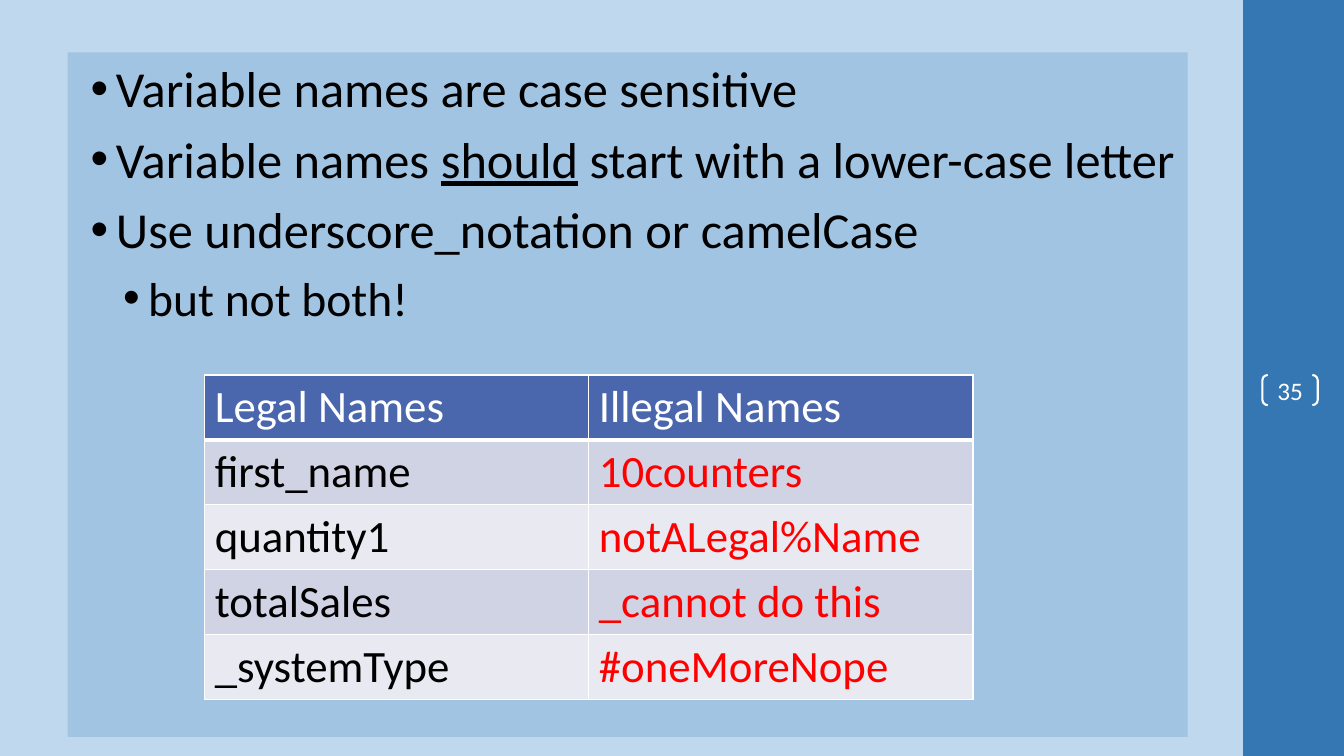
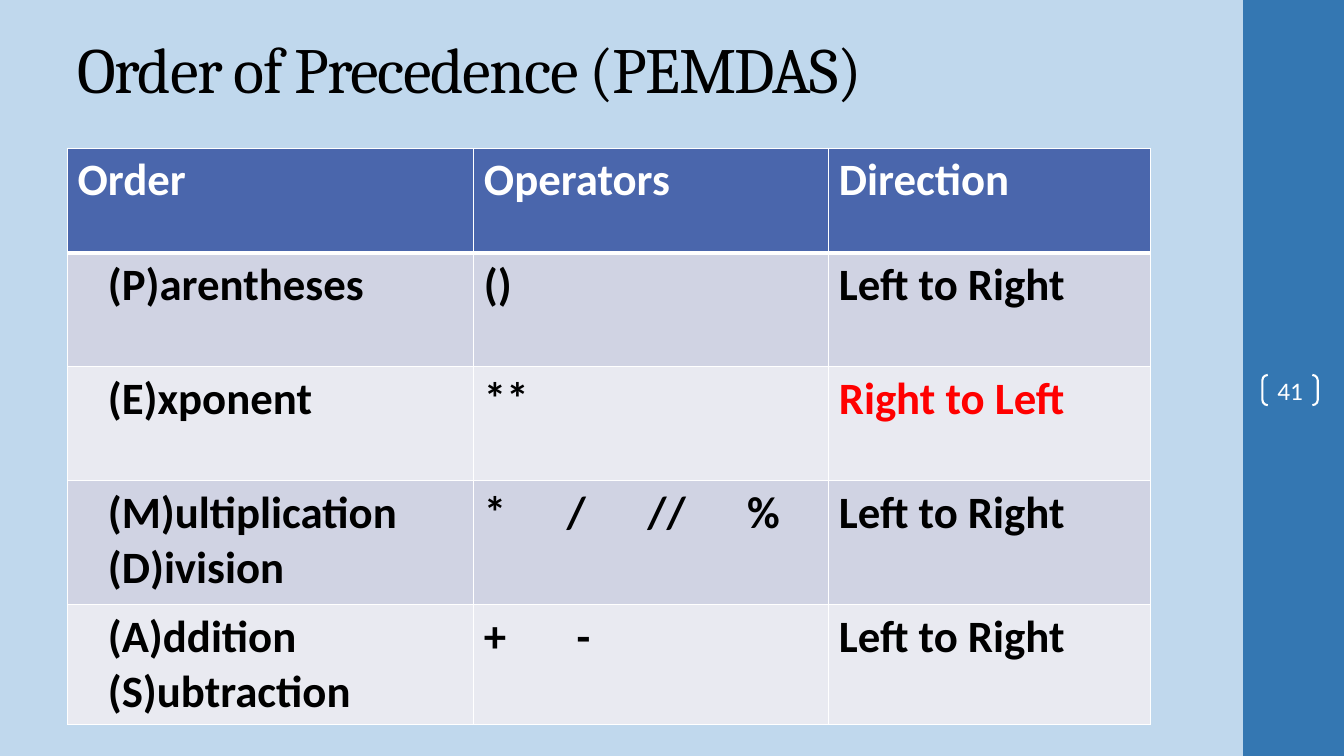
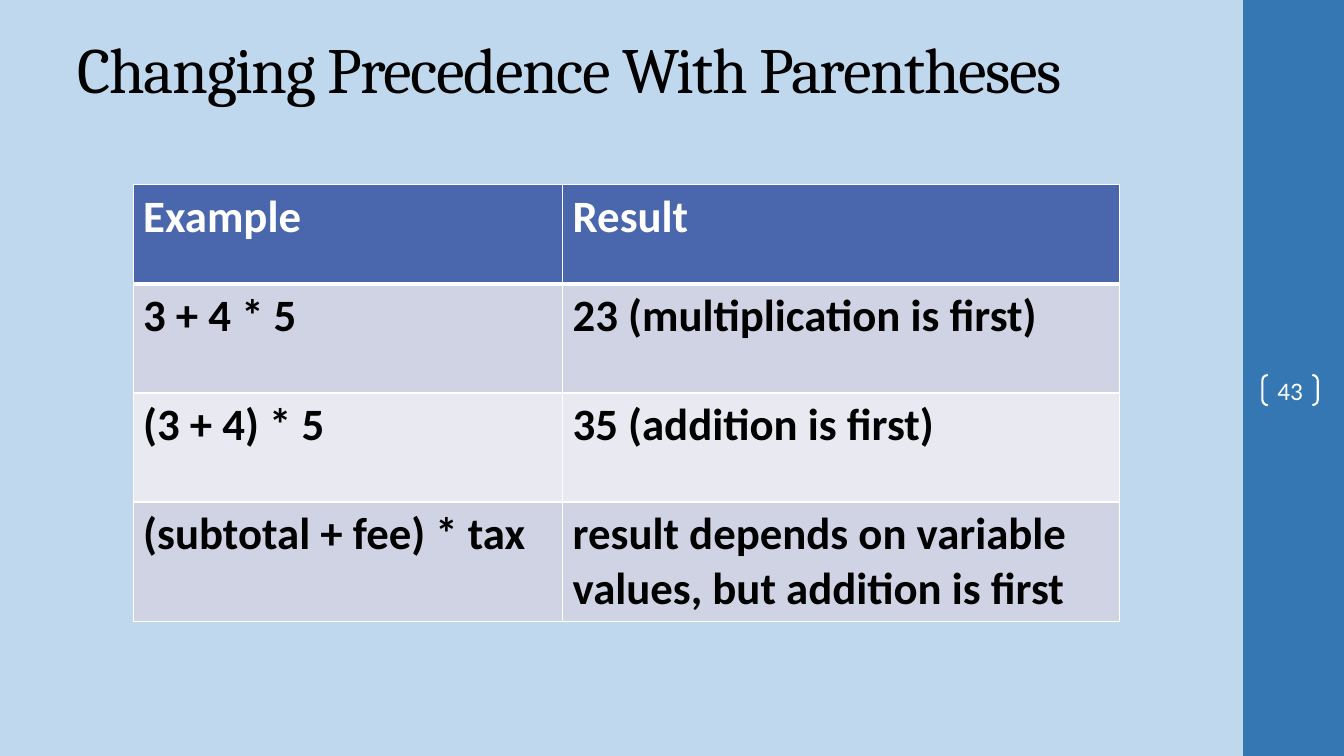
from dataclasses import dataclass
from typing import Any

from lxml import etree
from pptx import Presentation
from pptx.dml.color import RGBColor
from pptx.enum.shapes import MSO_SHAPE
from pptx.enum.text import MSO_ANCHOR, MSO_AUTO_SIZE, PP_ALIGN
from pptx.oxml.ns import qn
from pptx.util import Inches, Pt

RECTANGLE = MSO_SHAPE.RECTANGLE
DOUBLE_BRACKET = MSO_SHAPE.DOUBLE_BRACKET
MIDDLE = MSO_ANCHOR.MIDDLE
TOP = MSO_ANCHOR.TOP
LEFT = PP_ALIGN.LEFT
CENTER = PP_ALIGN.CENTER
NO_AUTOFIT = MSO_AUTO_SIZE.NONE

BACKGROUND = RGBColor(0xC0, 0xD8, 0xED)
BAND = RGBColor(0x34, 0x77, 0xB2)
PANEL = RGBColor(0xA1, 0xC4, 0xE3)
HEADER = RGBColor(0x4A, 0x66, 0xAC)
ROW_BANDS = (RGBColor(0xD0, 0xD3, 0xE3), RGBColor(0xE9, 0xEA, 0xF1))
WHITE = RGBColor(0xFF, 0xFF, 0xFF)
BLACK = RGBColor(0x00, 0x00, 0x00)
RED = RGBColor(0xFF, 0x00, 0x00)

TITLE_FORMAT = {"name": "Cambria", "size": Pt(46), "bold": False}
BODY_FORMAT = {"name": "Calibri", "size": Pt(36)}
SUB_BULLET_FORMAT = {"name": "Calibri", "size": Pt(34)}
NUMBER_FORMAT = {"name": "Calibri", "size": Pt(18)}
PLAIN_CELL_FORMAT = {"name": "Calibri", "size": Pt(32), "bold": False}
BOLD_CELL_FORMAT = PLAIN_CELL_FORMAT | {"bold": True}

TITLE_ONLY_LAYOUT = 5
CONTENT_LAYOUT = 1


@dataclass(frozen=True)
class Box:
    left: float
    top: float
    width: float
    height: float


@dataclass(frozen=True)
class Cell:
    text: str
    color: RGBColor = BLACK
    indent: float = 0
    tabs: tuple[float, ...] = ()


@dataclass(frozen=True)
class TableSpec:
    left: float
    top: float
    columns: list[float]
    row_heights: list[float]
    rows: list[list[Cell]]
    text_format: dict[str, Any]


@dataclass(frozen=True)
class Bullet:
    segments: list[str]
    level: int = 0
    underlined: str = ""


TITLE_BOX = Box(0.67, 0.23, 11.11, 0.89)
BODY_BOX = Box(0.67, 0.52, 11.11, 6.79)
BAND_BOX = Box(12.33, 0, 1, 7.5)
NUMBER_BOX = Box(12.52, 3.72, 0.55, 0.3)

BULLETS = [
    Bullet(["Variable names are case sensitive"]),
    Bullet(["Variable names ", "should", " start with a lower-case letter"], underlined="should"),
    Bullet(["Use underscore_notation or camelCase"]),
    Bullet(["but not both!"], level=1),
]
BULLET_STYLES = [(0.38, BODY_FORMAT), (0.7, SUB_BULLET_FORMAT)]

NAMES = [
    ("first_name", "10counters"),
    ("quantity1", "notALegal%Name"),
    ("totalSales", "_cannot do this"),
    ("_systemType", "#oneMoreNope"),
]
NAMES_TABLE = TableSpec(
    2.03, 3.72, [3.81] * 2, [0.64] * 5,
    [[Cell("Legal Names"), Cell("Illegal Names")]]
    + [[Cell(legal), Cell(illegal, RED)] for legal, illegal in NAMES],
    PLAIN_CELL_FORMAT,
)

OPERATORS = [
    ("(P)arentheses", Cell("()"), Cell("Left to Right")),
    ("(E)xponent", Cell("**"), Cell("Right to Left", RED)),
    ("(M)ultiplication\n(D)ivision", Cell("*\t/\t//\t%", tabs=(0.82, 1.62, 2.61)),
     Cell("Left to Right")),
    ("(A)ddition\n(S)ubtraction", Cell("+\t-", tabs=(0.92,)), Cell("Left to Right")),
]
PRECEDENCE_TABLE = TableSpec(
    0.67, 1.47, [4.03, 3.52, 3.19], [1.04, 1.13, 1.13, 1.23, 1.19],
    [[Cell("Order"), Cell("Operators"), Cell("Direction")]]
    + [[Cell(order, indent=0.3), operators, direction]
       for order, operators, direction in OPERATORS],
    BOLD_CELL_FORMAT,
)

EXAMPLES = [
    ("Example", "Result"),
    ("3 + 4 * 5", "23 (multiplication is first)"),
    ("(3 + 4) * 5", "35 (addition is first)"),
    ("(subtotal + fee) * tax", "result depends on variable values, but addition is first"),
]
EXAMPLES_TABLE = TableSpec(
    1.32, 1.83, [4.26, 5.52], [0.99, 1.08, 1.08, 1.18],
    [[Cell(example), Cell(result)] for example, result in EXAMPLES],
    BOLD_CELL_FORMAT,
)


def lengths(box: Box) -> tuple:
    return tuple(Inches(value) for value in (box.left, box.top, box.width, box.height))


def place(shape, box: Box) -> None:
    for attribute, value in zip(("left", "top", "width", "height"), lengths(box)):
        setattr(shape, attribute, value)


def add_run(paragraph, text: str, text_format: dict[str, Any], color: RGBColor):
    run = paragraph.add_run()
    run.text = text
    for attribute, value in text_format.items():
        setattr(run.font, attribute, value)
    run.font.color.rgb = color
    return run


def set_frame(text_frame, **settings: Any) -> None:
    for attribute, value in settings.items():
        setattr(text_frame, attribute, value)


def add_band(slide, number: int) -> None:
    band = slide.shapes.add_shape(RECTANGLE, *lengths(BAND_BOX))
    band.shadow.inherit = False
    band.fill.solid()
    band.fill.fore_color.rgb = BAND
    band.line.fill.background()

    bracket = slide.shapes.add_shape(DOUBLE_BRACKET, *lengths(NUMBER_BOX))
    bracket.shadow.inherit = False
    bracket.adjustments[0] = 0.18
    bracket.fill.background()
    bracket.line.color.rgb = WHITE
    bracket.line.width = Pt(1.5)
    set_frame(bracket.text_frame, margin_left=0, margin_top=0, margin_right=0,
              margin_bottom=0, vertical_anchor=MIDDLE)
    paragraph = bracket.text_frame.paragraphs[0]
    paragraph.alignment = CENTER
    add_run(paragraph, str(number), NUMBER_FORMAT, WHITE)


def add_slide(presentation, layout: int, number: int):
    slide = presentation.slides.add_slide(presentation.slide_layouts[layout])
    add_band(slide, number)
    return slide


def set_title(slide, text: str) -> None:
    title = slide.shapes.title
    place(title, TITLE_BOX)
    set_frame(title.text_frame, word_wrap=True, auto_size=NO_AUTOFIT, vertical_anchor=MIDDLE)
    paragraph = title.text_frame.paragraphs[0]
    paragraph.alignment = LEFT
    run = add_run(paragraph, text, TITLE_FORMAT, BLACK)
    run._r.get_or_add_rPr().set("spc", "-100")


def set_bullet(paragraph, indent: float) -> None:
    properties = paragraph._p.get_or_add_pPr()
    properties.set("marL", str(Inches(indent)))
    properties.set("indent", str(Inches(-0.25)))
    color = etree.SubElement(properties, qn("a:buClr"))
    etree.SubElement(color, qn("a:srgbClr"), val=str(BLACK))
    etree.SubElement(properties, qn("a:buFont"), typeface="Arial")
    etree.SubElement(properties, qn("a:buChar"), char="•")


def fill_body(body, bullets: list[Bullet]) -> None:
    place(body, BODY_BOX)
    body.fill.solid()
    body.fill.fore_color.rgb = PANEL
    text_frame = body.text_frame
    set_frame(text_frame, word_wrap=True, auto_size=NO_AUTOFIT, vertical_anchor=TOP)
    for index, bullet in enumerate(bullets):
        paragraph = text_frame.add_paragraph() if index else text_frame.paragraphs[0]
        paragraph.level = bullet.level
        indent, text_format = BULLET_STYLES[bullet.level]
        set_bullet(paragraph, indent)
        for segment in bullet.segments:
            run = add_run(paragraph, segment, text_format, BLACK)
            if segment == bullet.underlined:
                run.font.underline = True
    text_frame.paragraphs[0].space_before = Pt(0)


def set_borders(cell, bottom_width: float) -> None:
    properties = cell._tc.get_or_add_tcPr()
    for side, width in (("L", 1), ("R", 1), ("T", 1), ("B", bottom_width)):
        line = etree.SubElement(properties, qn(f"a:ln{side}"), w=str(Pt(width)))
        fill = etree.SubElement(line, qn("a:solidFill"))
        etree.SubElement(fill, qn("a:srgbClr"), val=str(WHITE))


def write_cell(cell, content: Cell, text_format: dict[str, Any], color: RGBColor) -> None:
    text_frame = cell.text_frame
    for index, text in enumerate(content.text.split("\n")):
        paragraph = text_frame.add_paragraph() if index else text_frame.paragraphs[0]
        properties = paragraph._p.get_or_add_pPr()
        if content.indent:
            properties.set("marL", str(Inches(content.indent)))
        if content.tabs:
            tab_list = etree.SubElement(properties, qn("a:tabLst"))
            for position in content.tabs:
                etree.SubElement(tab_list, qn("a:tab"), pos=str(Inches(position)), algn="l")
        add_run(paragraph, text, text_format, color)


def add_table(slide, spec_table: TableSpec) -> None:
    box = Box(spec_table.left, spec_table.top,
              sum(spec_table.columns), sum(spec_table.row_heights))
    table = slide.shapes.add_table(
        len(spec_table.rows), len(spec_table.columns), *lengths(box)).table
    table.horz_banding = False
    for column, width in zip(table.columns, spec_table.columns):
        column.width = Inches(width)
    for row, height in zip(table.rows, spec_table.row_heights):
        row.height = Inches(height)
    for row_index, contents in enumerate(spec_table.rows):
        is_header = row_index == 0
        for column_index, content in enumerate(contents):
            cell = table.cell(row_index, column_index)
            set_borders(cell, 3 if is_header else 1)
            cell.fill.solid()
            cell.fill.fore_color.rgb = HEADER if is_header else ROW_BANDS[(row_index - 1) % 2]
            color = WHITE if is_header else content.color
            write_cell(cell, content, spec_table.text_format, color)


def add_names_slide(presentation) -> None:
    slide = add_slide(presentation, CONTENT_LAYOUT, 35)
    title = slide.shapes.title._element
    title.getparent().remove(title)
    fill_body(slide.placeholders[1], BULLETS)
    add_table(slide, NAMES_TABLE)


def add_table_slide(presentation, number: int, title: str, spec_table: TableSpec) -> None:
    slide = add_slide(presentation, TITLE_ONLY_LAYOUT, number)
    set_title(slide, title)
    add_table(slide, spec_table)


def main() -> None:
    presentation = Presentation()
    presentation.slide_width = Inches(13.33)
    presentation.slide_height = Inches(7.5)
    background = presentation.slide_master.background.fill
    background.solid()
    background.fore_color.rgb = BACKGROUND

    add_names_slide(presentation)
    add_table_slide(presentation, 41, "Order of Precedence (PEMDAS)", PRECEDENCE_TABLE)
    add_table_slide(presentation, 43, "Changing Precedence With Parentheses", EXAMPLES_TABLE)
    presentation.save("out.pptx")


if __name__ == "__main__":
    main()
